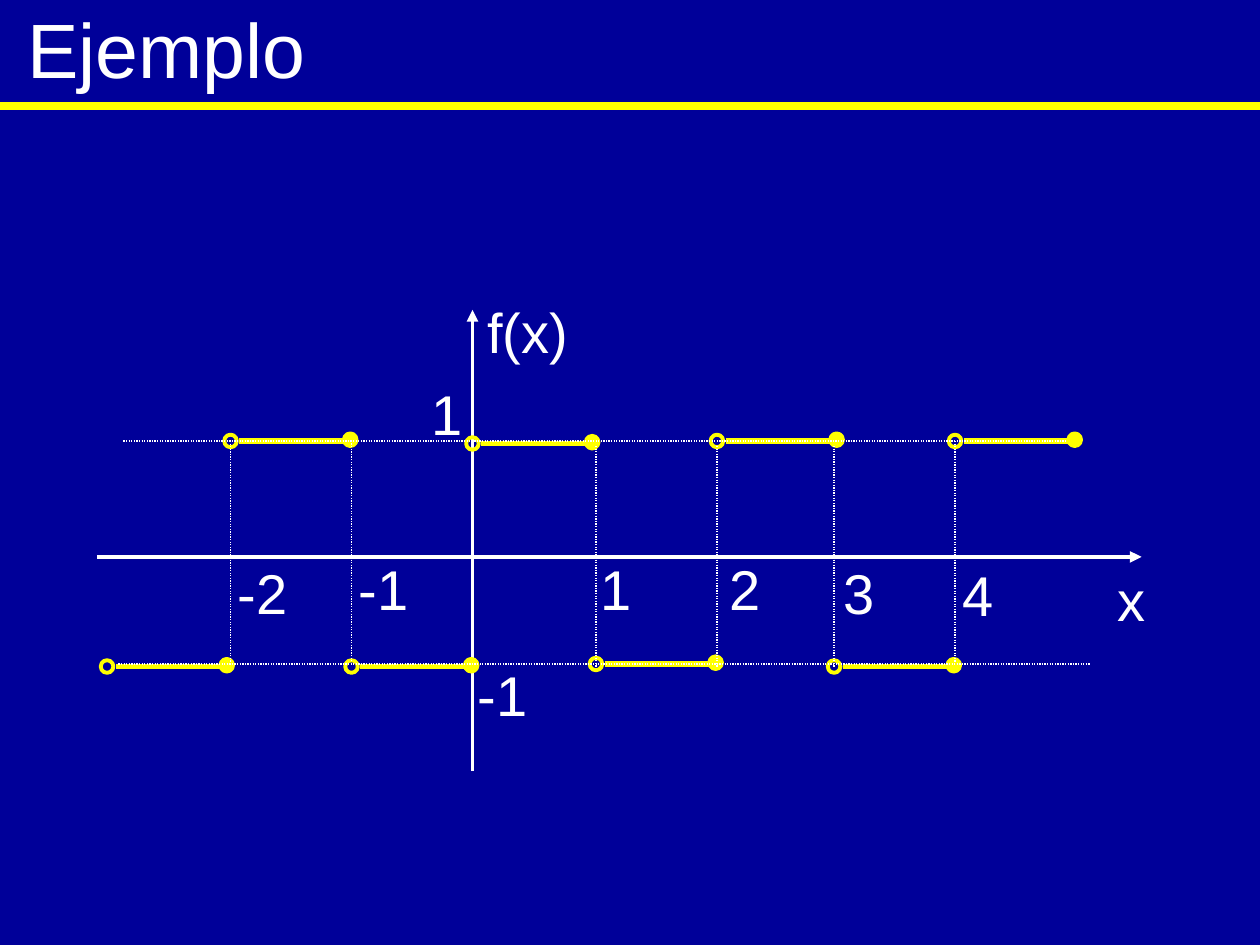
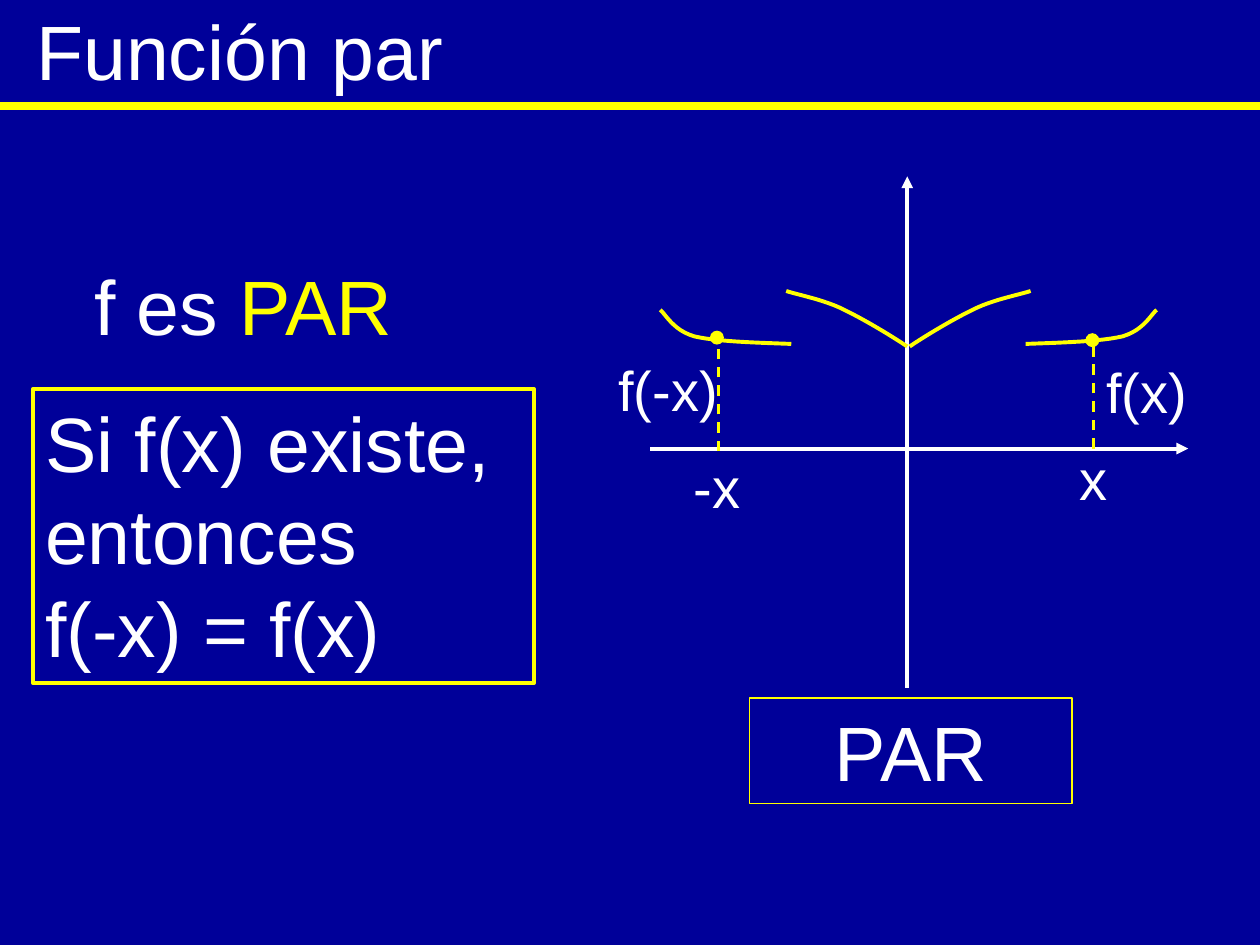
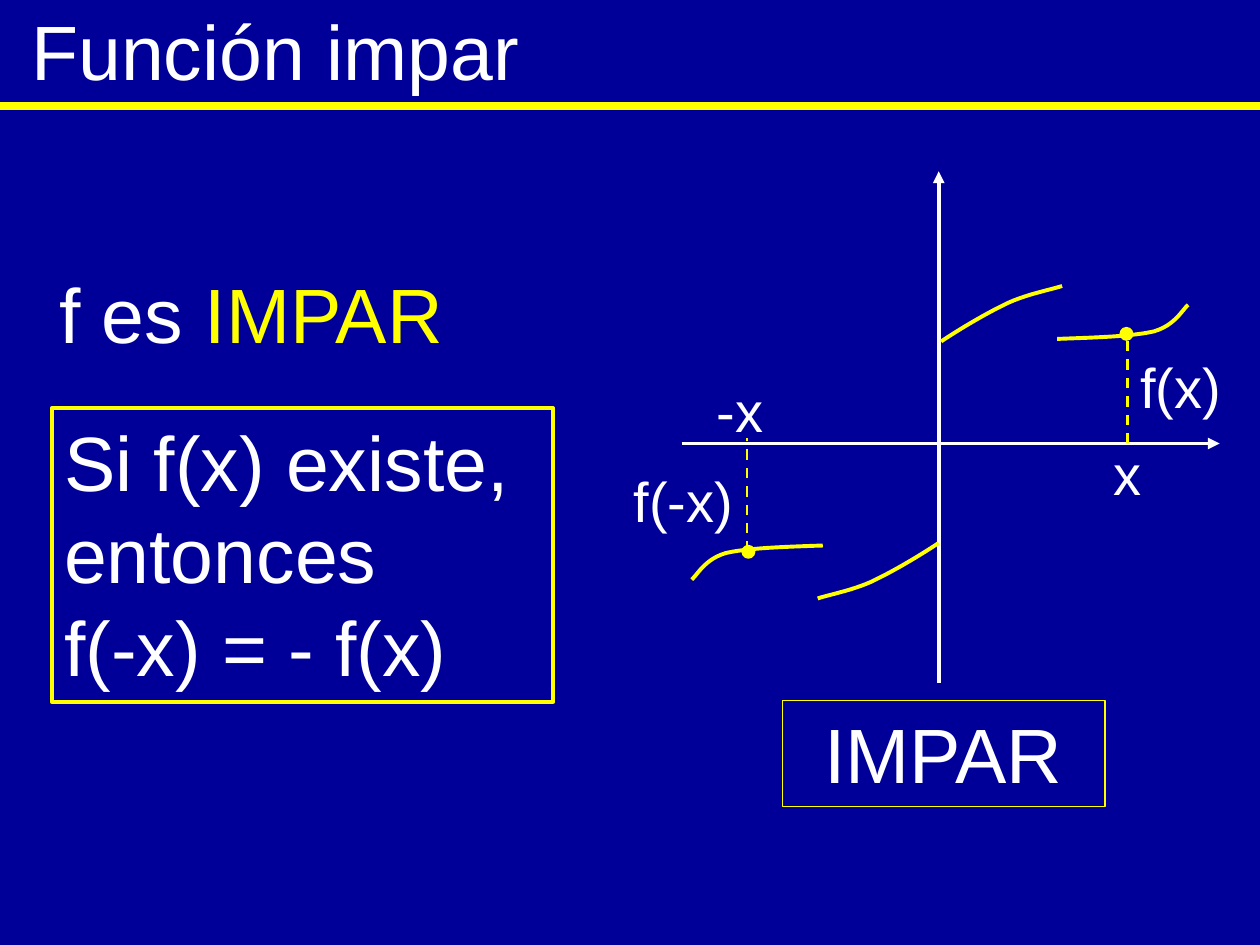
"""Build three slides on a periodic step, an even and an odd function."""
from dataclasses import dataclass

from lxml.etree import SubElement
from pptx import Presentation
from pptx.dml.color import RGBColor
from pptx.enum.dml import MSO_LINE
from pptx.enum.shapes import MSO_CONNECTOR, MSO_SHAPE
from pptx.enum.text import MSO_ANCHOR, MSO_AUTO_SIZE, PP_ALIGN
from pptx.oxml.ns import qn
from pptx.slide import Slide
from pptx.util import Inches, Pt

NAVY = RGBColor(0x00, 0x00, 0x99)
WHITE = RGBColor(0xFF, 0xFF, 0xFF)
YELLOW = RGBColor(0xFF, 0xFF, 0x00)
FONT = "Arial"
BIG, SMALL = 44, 32
DOT = 0.1
Point = tuple[float, float]
Run = tuple[str, RGBColor]

ARCH = [(0.02, -0.81), (0.2, -0.93), (0.41, -1.05), (0.56, -1.12),
        (0.72, -1.19), (0.89, -1.22), (0.98, -1.25)]
HOOK = [(0.94, -0.83), (1.24, -0.84), (1.54, -0.85), (1.71, -0.89),
        (1.88, -0.94), (1.94, -1.07), (1.98, -1.1)]


@dataclass
class Label:
    """Words, place and width of a small label."""
    words: str
    left: float
    top: float
    width: float = 0.46


@dataclass
class Step:
    """Open end of one level piece of the step function."""
    left: float
    top: float


@dataclass
class Mark:
    """Dashed drop line, its dot and its labels, from the axis origin."""
    left: float
    start: float
    end: float
    dot: Point
    labels: list[Label]


@dataclass
class Topic:
    """What differs between the even and the odd slide."""
    title: str
    indent: float
    kind: str
    claim: tuple[float, float, float]
    rule: str
    frame: Point
    origin: Point
    flip: int
    shift: Point
    marks: list[Mark]
    tag: Point


STEPS = [Step(0.8, 5.24), Step(1.78, 3.45), Step(2.74, 5.24), Step(3.7, 3.47),
         Step(4.68, 5.22), Step(5.64, 3.45), Step(6.57, 5.24), Step(7.53, 3.45)]
DROPS = [(1.83, 3.5), (2.79, 3.52), (4.73, 3.54), (5.69, 3.54), (6.62, 3.54), (7.58, 3.5)]
LABELS = [Label("1", 3.33, 2.96), Label("-1", 3.69, 5.19, 0.69),
          Label("1", 4.67, 4.35), Label("2", 5.69, 4.35),
          Label("3", 6.6, 4.38), Label("4", 7.54, 4.4),
          Label("-1", 2.75, 4.35, 0.69), Label("-2", 1.79, 4.38, 0.69),
          Label("x", 8.77, 4.44), Label("f(x)", 3.77, 2.31, 1.27)]

TOPICS = [
    Topic("Función par", 0.19, "PAR", (0.65, 2, 2.77), "f(-x) = f(x)",
          (0.26, 3.09), (7.2, 3.56), 1, (0.02, 0),
          [Mark(1.48, 0, -0.89, (1.42, -0.91),
                [Label("x", 1.27, -0.08), Label("f(x)", 1.48, -0.77, 0.9)]),
           Mark(-1.5, 0.02, -0.87, (-1.56, -0.93),
                [Label("-x", -1.79, -0.02, 0.67), Label("f(-x)", -2.39, -0.79, 1.08)])],
          (-1.25, 1.98)),
    Topic("Función impar", 0.15, "IMPAR", (0.37, 2.07, 3.48), "f(-x) = - f(x)",
          (0.41, 3.24), (7.45, 3.52), -1, (0.02, -0.02),
          [Mark(1.5, 0, -0.89, (1.44, -0.92),
                [Label("x", 1.29, -0.08), Label("f(x)", 1.5, -0.77, 0.9)]),
           Mark(-1.52, 0.86, -0.04, (-1.56, 0.81),
                [Label("-x", -1.86, -0.58, 0.67), Label("f(-x)", -2.52, 0.13, 1.08)])],
          (-1.24, 2.04)),
]


def add_text(shape, lines: list[list[Run]], size: int, align=PP_ALIGN.LEFT) -> None:
    """Fill a shape with one paragraph of broken lines."""
    frame = shape.text_frame
    frame.word_wrap = True
    frame.auto_size = MSO_AUTO_SIZE.SHAPE_TO_FIT_TEXT
    frame.vertical_anchor = MSO_ANCHOR.TOP
    para = frame.paragraphs[0]
    para.alignment = align
    space = SubElement(para._p.get_or_add_pPr(), qn("a:spcBef"))
    SubElement(space, qn("a:spcPct")).set("val", "50000")
    for index, line in enumerate(lines):
        if index:
            para.add_line_break()
        for words, color in line:
            run = para.add_run()
            run.text = words
            run.font.name = FONT
            run.font.size = Pt(size)
            run.font.color.rgb = color


def add_label(slide: Slide, item: Label, origin: Point = (0, 0)) -> None:
    """Place a small white label."""
    box = slide.shapes.add_textbox(Inches(origin[0] + item.left), Inches(origin[1] + item.top),
                                   Inches(item.width), Inches(0.63))
    add_text(box, [[(item.words, WHITE)]], SMALL)


def add_head(slide: Slide, left: float, top: float, width: float, runs: list[Run]) -> None:
    """Place one line of large text."""
    box = slide.shapes.add_textbox(Inches(left), Inches(top), Inches(width), Inches(0.83))
    add_text(box, [runs], BIG)


def add_line(slide: Slide, start: Point, end: Point, color: RGBColor, weight: float,
             dash=None, arrow: bool = False) -> None:
    """Draw a straight line, dashed or with an arrowhead on request."""
    line = slide.shapes.add_connector(MSO_CONNECTOR.STRAIGHT, Inches(start[0]), Inches(start[1]),
                                      Inches(end[0]), Inches(end[1]))
    line.line.color.rgb = color
    line.line.width = Pt(weight)
    if dash:
        line.line.dash_style = dash
    if arrow:
        SubElement(line.line._get_or_add_ln(), qn("a:tailEnd")).set("type", "triangle")
    SubElement(line._element.spPr, qn("a:effectLst"))


def style(shape, weight: float, solid: bool = False) -> None:
    """Give a shape a yellow line and a yellow or empty inside."""
    shape.shadow.inherit = False
    shape.line.color.rgb = YELLOW
    shape.line.width = Pt(weight)
    if solid:
        shape.fill.solid()
        shape.fill.fore_color.rgb = YELLOW
    else:
        shape.fill.background()


def add_dot(slide: Slide, left: float, top: float, weight: float, solid: bool = True) -> None:
    """Draw a small circle."""
    dot = slide.shapes.add_shape(MSO_SHAPE.OVAL, Inches(left), Inches(top),
                                 Inches(DOT), Inches(DOT))
    style(dot, weight, solid)


def add_frame(slide: Slide, place: Point, size: Point, weight: float,
              lines: list[list[Run]], align=PP_ALIGN.LEFT) -> None:
    """Draw a framed box of large text."""
    box = slide.shapes.add_shape(MSO_SHAPE.RECTANGLE, Inches(place[0]), Inches(place[1]),
                                 Inches(size[0]), Inches(size[1]))
    style(box, weight)
    add_text(box, lines, BIG, align)


def trace(knots: list[Point], count: int = 12) -> list[Point]:
    """Sample a chain of cubic curves."""
    points = [knots[0]]
    for first in range(0, len(knots) - 1, 3):
        a, b, c, d = knots[first:first + 4]
        for step in range(1, count + 1):
            t = step / count
            u = 1 - t
            points.append(tuple(u**3 * a[i] + 3 * u * u * t * b[i] + 3 * u * t * t * c[i]
                                + t**3 * d[i] for i in (0, 1)))
    return points


def add_curve(slide: Slide, knots: list[Point], origin: Point, sign: Point, shift: Point) -> None:
    """Draw a curve, mirrored by sign and moved by shift."""
    points = [tuple(Inches(origin[i] + sign[i] * point[i] + shift[i]) for i in (0, 1))
              for point in trace(knots)]
    pen = slide.shapes.build_freeform(*points[0], scale=1.0)
    pen.add_line_segments(points[1:], close=False)
    style(pen.convert_to_shape(), 2.25)


def add_axes(slide: Slide, origin: Point, left: float, right: float,
             low: float, high: float) -> None:
    """Draw both axes through the origin."""
    x, y = origin
    add_line(slide, (left, y), (right, y), WHITE, 2.25, arrow=True)
    add_line(slide, (x, low), (x, high), WHITE, 2.25, arrow=True)


def new_slide(deck, title: str, left: float, top: float, width: float = 8.75) -> Slide:
    """Start a slide with its ground, title and rule."""
    slide = deck.slides.add_slide(deck.slide_layouts[6])
    slide.background.fill.solid()
    slide.background.fill.fore_color.rgb = NAVY
    add_head(slide, left, top, width, [(title, WHITE)])
    add_line(slide, (0, 0.84), (10, 0.84), YELLOW, 4.5)
    return slide


def draw_steps(deck) -> None:
    """Draw the step function slide."""
    slide = new_slide(deck, "Ejemplo", 0.12, -0.04)
    add_axes(slide, (3.75, 4.42), 0.77, 9.06, 6.12, 2.46)
    for step in STEPS:
        x, y = step.left + 0.12, step.top + 0.05
        add_line(slide, (x, y), (x + 0.83, y), YELLOW, 3)
        add_dot(slide, step.left + 0.95, step.top - 0.01, 2.25)
        add_dot(slide, step.left, step.top, 2.25, solid=False)
    for left, right, y in ((0.98, 8.46, 3.5), (0.94, 8.65, 5.27)):
        add_line(slide, (left, y), (right, y), WHITE, 0.75, MSO_LINE.ROUND_DOT)
    for x, y in DROPS:
        add_line(slide, (x, y), (x, y + 1.75), WHITE, 0.75, MSO_LINE.ROUND_DOT)
    for item in LABELS:
        add_label(slide, item)


def draw_topic(deck, topic: Topic) -> None:
    """Draw the slide of an even or odd function."""
    slide = new_slide(deck, topic.title, topic.indent, -0.02)
    left, top, width = topic.claim
    add_head(slide, left, top, width, [("f es ", WHITE), (topic.kind, YELLOW)])
    add_frame(slide, topic.frame, (3.98, 2.33), 2.25,
              [[("Si f(x) existe, entonces", WHITE)], [(topic.rule, WHITE)]])
    x, y = topic.origin
    add_axes(slide, topic.origin, x - 2.04, x + 2.23, y + 1.9, y - 2.16)
    for knots in (ARCH, HOOK):
        add_curve(slide, knots, topic.origin, (1, 1), (0, 0))
        add_curve(slide, knots, topic.origin, (-1, topic.flip), topic.shift)
    for mark in topic.marks:
        add_line(slide, (x + mark.left, y + mark.start), (x + mark.left, y + mark.end),
                 YELLOW, 1.5, MSO_LINE.DASH)
        add_dot(slide, x + mark.dot[0], y + mark.dot[1], 0.75)
        for item in mark.labels:
            add_label(slide, item, topic.origin)
    add_frame(slide, (x + topic.tag[0], y + topic.tag[1]), (2.56, 0.84), 0.75,
              [[(topic.kind, WHITE)]], PP_ALIGN.CENTER)


def main() -> None:
    """Build and save the deck."""
    deck = Presentation()
    deck.slide_width, deck.slide_height = Inches(10), Inches(7.5)
    draw_steps(deck)
    for topic in TOPICS:
        draw_topic(deck, topic)
    deck.save("out.pptx")


if __name__ == "__main__":
    main()
